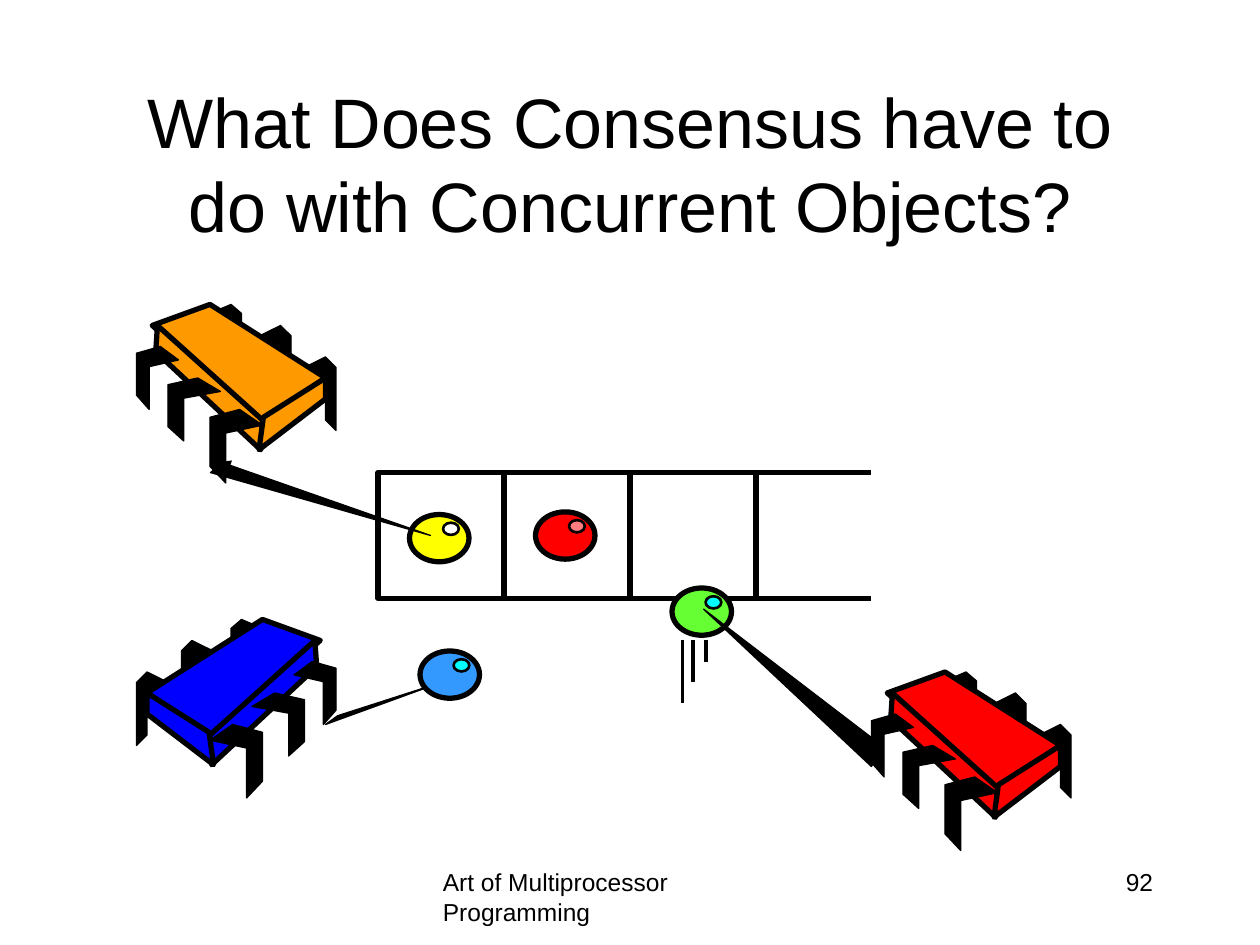
from dataclasses import dataclass

from lxml import etree
from pptx import Presentation
from pptx import util as u
from pptx.dml.color import RGBColor
from pptx.enum import shapes, text
from pptx.oxml import ns


@dataclass(frozen=True)
class Theme:
    font: str = "Arial"
    title: float = 40
    small: float = 14
    ink: str = "000000"
    white: str = "FFFFFF"
    yellow: str = "FFFF00"
    orange: str = "FF9900"
    red: str = "FF0000"
    pink: str = "FF7C80"
    green: str = "66FF33"
    cyan: str = "00FFFF"
    sky: str = "3399FF"
    blue: str = "0000FF"
    thick: float = 3
    medium: float = 2.25
    fine: float = 1.5
    hair: float = 0.75


BUG_WIDTH = 114
BACK_LEG = [(0, 6), (12, 0), (18, 6), (18, 42), (12, 36), (12, 12), (0, 18)]
FRONT_LEG = [(17, 0), (30, 9), (9, 13.5), (9, 42), (0, 32.5), (0, 4.5)]
BACK_LEGS = [(96, 30, 1, 1), (70.3, 12, 1, 1), (42, 0, 1, 6 / 7)]
FRONT_LEGS = [(42, 60, 1, 1), (18, 42, 1, 6 / 7), (0, 24, 0.8, 6 / 7)]
BODY = [
    [(42, 0), (108, 42), (71, 67), (9, 12)],
    [(12, 12), (72, 66), (71, 83), (11, 27)],
    [(108, 42), (108, 54), (70, 83), (72.5, 64.5)],
]


class Deck:
    """Draws styled elements on the current slide, in points."""

    def __init__(self, theme):
        self.t = theme
        self.prs = Presentation()
        self.prs.slide_width, self.prs.slide_height = u.Pt(720), u.Pt(540)
        self.s = self.prs.slides.add_slide(self.prs.slide_layouts[6])

    def paint(self, sp, fill, width):
        sp.shadow.inherit = False
        if fill:
            sp.fill.solid()
            sp.fill.fore_color.rgb = RGBColor.from_string(fill)
        else:
            sp.fill.background()
        self.stroke(sp, width)

    def stroke(self, sp, width):
        sp.line.color.rgb = RGBColor.from_string(self.t.ink)
        sp.line.width = u.Pt(width)

    def label(self, words, box, size, align, anchor=text.MSO_ANCHOR.TOP):
        tf = self.s.shapes.add_textbox(*map(u.Pt, box)).text_frame
        tf.word_wrap = True
        tf.vertical_anchor = anchor
        p = tf.paragraphs[0]
        p.alignment = align
        r = p.add_run()
        r.text = words
        r.font.name, r.font.size = self.t.font, u.Pt(size)
        r.font.color.rgb = RGBColor.from_string(self.t.ink)

    def preset(self, parent, kind, box, fill, width):
        self.paint(parent.shapes.add_shape(kind, *map(u.Pt, box)), fill, width)

    def line(self, x1, y1, x2, y2, width):
        sp = self.s.shapes.add_connector(
            shapes.MSO_CONNECTOR.STRAIGHT, *map(u.Pt, (x1, y1, x2, y2)))
        self.stroke(sp, width)
        etree.SubElement(sp._element.spPr, ns.qn("a:effectLst"))

    def outline(self, parent, points, fill, width, close=True):
        pts = [(u.Pt(x), u.Pt(y)) for x, y in points]
        fb = parent.shapes.build_freeform(*pts[0], scale=1.0)
        fb.add_line_segments(pts[1:], close=close)
        sp = fb.convert_to_shape()
        self.paint(sp, fill, width)
        return sp

    def arrow(self, points):
        sp = self.outline(self.s, points, self.t.ink, self.t.hair, close=False)
        ln = sp.line._get_or_add_ln()
        etree.SubElement(ln, ns.qn("a:tailEnd"), type="triangle")

    def ball(self, x, y, fill, shine):
        grp = self.s.shapes.add_group_shape()
        oval = shapes.MSO_SHAPE.OVAL
        self.preset(grp, oval, (x, y, 34, 27), fill, self.t.thick)
        self.preset(grp, oval, (x + 19.2, y + 4.7, 9, 7), shine, self.t.fine)

    def bug(self, left, top, fill, mirror=False):
        grp = self.s.shapes.add_group_shape()

        def part(points, color, width, dx=0, dy=0, sx=1, sy=1):
            xy = [(dx + x * sx, dy + y * sy) for x, y in points]
            self.outline(grp, [(left + (BUG_WIDTH - x if mirror else x), top + y)
                               for x, y in xy], color, width)

        for leg in BACK_LEGS:
            part(BACK_LEG, self.t.ink, self.t.hair, *leg)
        for face in BODY:
            part(face, fill, self.t.thick)
        for leg in FRONT_LEGS:
            part(FRONT_LEG, self.t.ink, self.t.hair, *leg)


def main():
    t = Theme()
    d = Deck(t)
    align = text.PP_ALIGN
    d.label("Art of Multiprocessor Programming", (246, 492, 228, 36), t.small, align.LEFT)
    d.label("92", (516, 492, 150, 36), t.small, align.RIGHT)
    d.label("What Does Consensus have to do with Concurrent Objects?",
            (54, 48, 612, 90), t.title, align.CENTER, text.MSO_ANCHOR.MIDDLE)

    for i in range(3):
        d.preset(d.s, shapes.MSO_SHAPE.RECTANGLE,
                 (216 + 72 * i, 270, 72, 72), None, t.thick)
    for y in (270, 342):
        d.line(426, y, 498, y, t.thick)

    d.ball(384, 336, t.green, t.cyan)
    d.ball(306, 292.5, t.red, t.pink)
    d.bug(498, 384, t.red)
    d.outline(d.s, [(498, 438), (504, 426), (402, 348)], t.ink, t.hair)
    for x, length in ((390, 36), (396, 24), (403.5, 12)):
        d.line(x, 366, x, 366 + length, t.medium)

    d.bug(78, 354, t.blue, mirror=True)
    d.outline(d.s, [(186, 414), (193, 409), (252, 390)], t.ink, t.hair)
    d.ball(240, 372, t.sky, t.cyan)

    d.ball(234, 294, t.yellow, t.white)
    d.bug(78, 174, t.orange)
    d.arrow([(120, 270), (246, 306), (126, 264)])
    d.prs.save("out.pptx")


if __name__ == "__main__":
    main()
